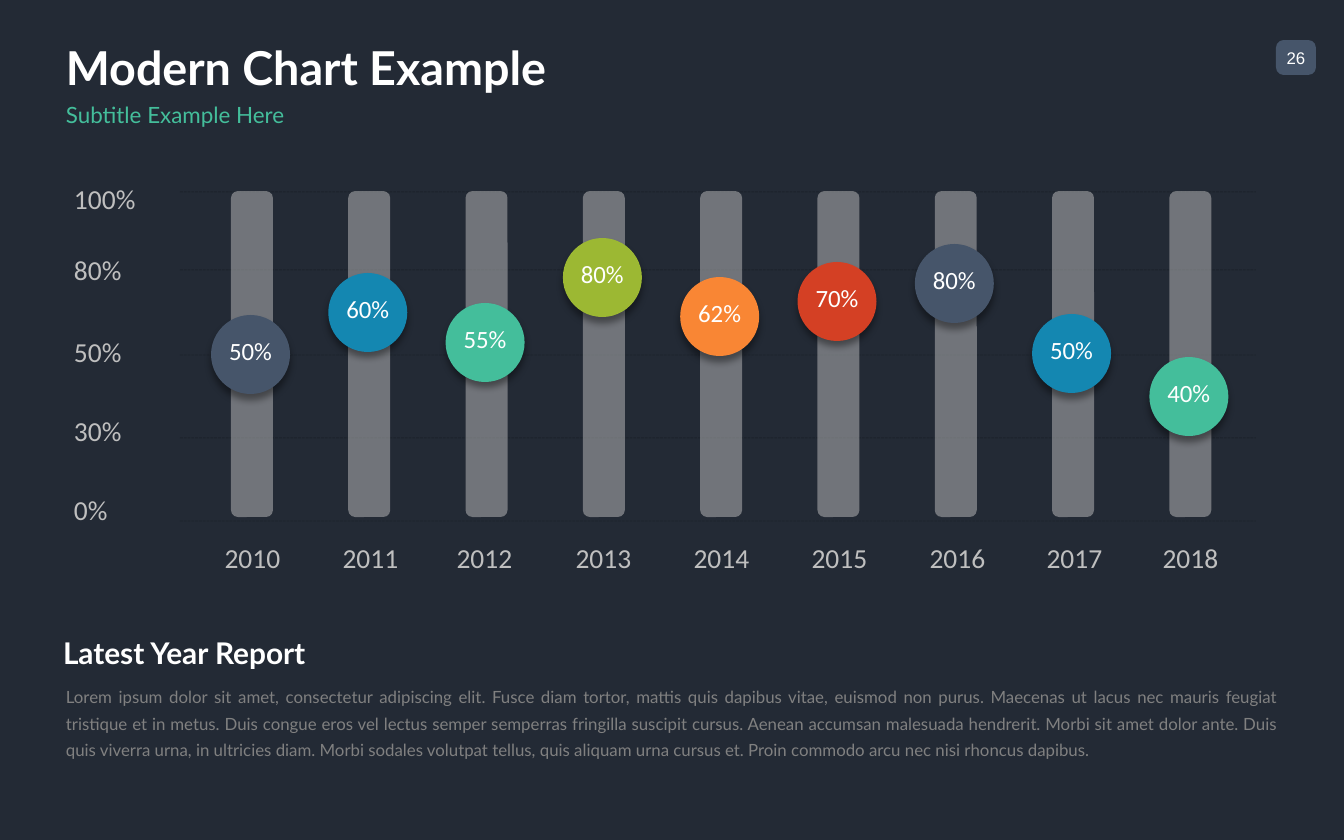
from dataclasses import dataclass

from lxml import etree
from pptx import Presentation
from pptx.dml.color import RGBColor
from pptx.enum.dml import MSO_LINE
from pptx.enum.shapes import MSO_CONNECTOR, MSO_SHAPE
from pptx.enum.text import MSO_ANCHOR, MSO_AUTO_SIZE, PP_ALIGN
from pptx.oxml.ns import qn
from pptx.util import Emu, Pt

ROUNDED = MSO_SHAPE.ROUNDED_RECTANGLE
STRAIGHT = MSO_CONNECTOR.STRAIGHT
DASH = MSO_LINE.SQUARE_DOT
TOP, MIDDLE, BOTTOM = MSO_ANCHOR.TOP, MSO_ANCHOR.MIDDLE, MSO_ANCHOR.BOTTOM
LEFT, CENTER, JUSTIFY = PP_ALIGN.LEFT, PP_ALIGN.CENTER, PP_ALIGN.JUSTIFY
PIXEL = 914400 / 134.4


@dataclass(frozen=True)
class Theme:
    background: str = "232A35"
    white: str = "FFFFFF"
    label: str = "BFBFBF"
    body: str = "808080"
    black: str = "000000"
    slate: str = "46556A"
    blue: str = "1487B1"
    teal: str = "44BE9B"
    green: str = "9CB833"
    orange: str = "F98634"
    red: str = "D44024"
    heading_font: str = "Lato"
    chart_font: str = "Calibri"
    number_font: str = "Arial"
    title_size: float = 25
    section_size: float = 16
    axis_size: float = 14.7
    value_size: float = 13.3
    subtitle_size: float = 12
    small_size: float = 9


theme = Theme()


def px(*lengths):
    return [Emu(round(length * PIXEL)) for length in lengths]


def write(box, text, font, size, color, bold=False, align=LEFT, anchor=MIDDLE,
          inset=(0, 5), wrap=True, paragraph_format=None):
    frame = box.text_frame
    side, edge = px(*inset)
    frame_format = {
        "auto_size": MSO_AUTO_SIZE.NONE, "word_wrap": wrap, "vertical_anchor": anchor,
        "margin_left": side, "margin_right": side, "margin_top": edge, "margin_bottom": edge,
    }
    for name, value in frame_format.items():
        setattr(frame, name, value)
    para = frame.paragraphs[0]
    for name, value in {"alignment": align, **(paragraph_format or {})}.items():
        setattr(para, name, value)
    span = para.add_run()
    span.text = text
    for name, value in {"name": font, "size": Pt(size), "bold": bold}.items():
        setattr(span.font, name, value)
    span.font.color.rgb = RGBColor.from_string(color)


deck = Presentation()
deck.slide_width, deck.slide_height = px(1344, 840)
page = deck.slides.add_slide(deck.slide_layouts[5])
page.background.fill.solid()
page.background.fill.fore_color.rgb = RGBColor.from_string(theme.background)

title = page.shapes.title
title.left, title.top, title.width, title.height = px(66, 41, 1210, 52)
write(title, "Modern Chart Example", theme.heading_font, theme.title_size, theme.white, True)

subtitle = page.shapes.add_textbox(*px(66, 101, 1210, 28))
write(subtitle, "Subtitle Example Here", theme.heading_font, theme.subtitle_size, theme.teal)

badge = page.shapes.add_shape(ROUNDED, *px(1276, 40, 40, 35))
badge.adjustments[0] = 0.22
badge.shadow.inherit = False
badge.fill.solid()
badge.fill.fore_color.rgb = RGBColor.from_string(theme.slate)
badge.line.fill.background()
write(badge, "26", theme.number_font, theme.small_size, theme.white,
      align=CENTER, inset=(0, 0), wrap=False)

for grid_y in (192, 270, 355, 438, 521):
    grid_line = page.shapes.add_connector(STRAIGHT, *px(180, grid_y, 1256, grid_y))
    grid_line.line.color.rgb = RGBColor.from_string(theme.black)
    grid_line.line.width = Pt(0.5)
    grid_line.line.dash_style = DASH
    properties = grid_line._element.spPr
    color = properties.find(".//" + qn("a:srgbClr"))
    etree.SubElement(color, qn("a:alpha"), val="20000")
    etree.SubElement(properties, qn("a:effectLst"))

axis_labels = [("100%", 177), ("80%", 248), ("50%", 330), ("30%", 409), ("0%", 488)]
for label, top in axis_labels:
    axis_box = page.shapes.add_textbox(*px(61, top, 102, 46))
    write(axis_box, label, theme.chart_font, theme.axis_size, theme.label,
          anchor=TOP, inset=(13, 7), paragraph_format={"line_spacing": 0.95})

columns = [
    ("2010", 253, "50%", 315, theme.slate),
    ("2011", 371, "60%", 273, theme.blue),
    ("2012", 485, "55%", 303, theme.teal),
    ("2013", 604, "80%", 238, theme.green),
    ("2014", 722, "62%", 277, theme.orange),
    ("2015", 840, "70%", 262, theme.red),
    ("2016", 958, "80%", 244, theme.slate),
    ("2017", 1075, "50%", 314, theme.blue),
    ("2018", 1191, "40%", 357, theme.teal),
]
bar_left, bar_width, bar_pitch, marker_size = 231, 42, 117.3, 79
for index, (year, year_center, value, marker_top, marker_color) in enumerate(columns):
    left = bar_left + index * bar_pitch

    year_box = page.shapes.add_textbox(*px(year_center - 28, 536, 55, 41))
    write(year_box, year, theme.chart_font, theme.axis_size, theme.label, align=CENTER,
          anchor=TOP, inset=(0, 7), wrap=False, paragraph_format={"line_spacing": 0.95})

    bar = page.shapes.add_shape(ROUNDED, *px(left, 191, bar_width, 326))
    marker = page.shapes.add_shape(
        ROUNDED, *px(left - 20, marker_top, marker_size, marker_size))
    marker.adjustments[0] = 0.5
    for shape, fill_color in ((bar, theme.label), (marker, marker_color)):
        shape.shadow.inherit = False
        shape.fill.solid()
        shape.fill.fore_color.rgb = RGBColor.from_string(fill_color)
        shape.line.fill.background()
    bar_color = bar._element.spPr.find(".//" + qn("a:srgbClr"))
    etree.SubElement(bar_color, qn("a:alpha"), val="50000")

    effects = marker._element.spPr.find(qn("a:effectLst"))
    shadow = etree.SubElement(effects, qn("a:outerShdw"), blurRad=str(Pt(4)),
                              dist=str(Pt(3)), dir="5400000", rotWithShape="0")
    shadow_color = etree.SubElement(shadow, qn("a:srgbClr"), val=theme.black)
    etree.SubElement(shadow_color, qn("a:alpha"), val="40000")
    write(marker, value, theme.chart_font, theme.value_size, theme.white,
          align=CENTER, anchor=BOTTOM, inset=(13, 17), wrap=False)

report_heading = page.shapes.add_textbox(*px(63, 626, 1212, 53))
write(report_heading, "Latest Year Report", theme.heading_font, theme.section_size,
      theme.white, True)

report_text = (
    "Lorem ipsum dolor sit amet, consectetur adipiscing elit. Fusce diam tortor, mattis quis "
    "dapibus vitae, euismod non purus. Maecenas ut lacus nec mauris feugiat tristique et in "
    "metus. Duis congue eros vel lectus semper semperras fringilla suscipit cursus. Aenean "
    "accumsan malesuada hendrerit. Morbi sit amet dolor ante. Duis quis viverra urna, in "
    "ultricies diam. Morbi sodales volutpat tellus, quis aliquam urna cursus et. Proin commodo "
    "arcu nec nisi rhoncus dapibus."
)
report_box = page.shapes.add_textbox(*px(66, 681, 1210, 95))
write(report_box, report_text, theme.heading_font, theme.small_size, theme.body,
      align=JUSTIFY, anchor=TOP, inset=(0, 0),
      paragraph_format={"line_spacing": 1.3, "space_before": Pt(1.8)})

deck.save("out.pptx")
